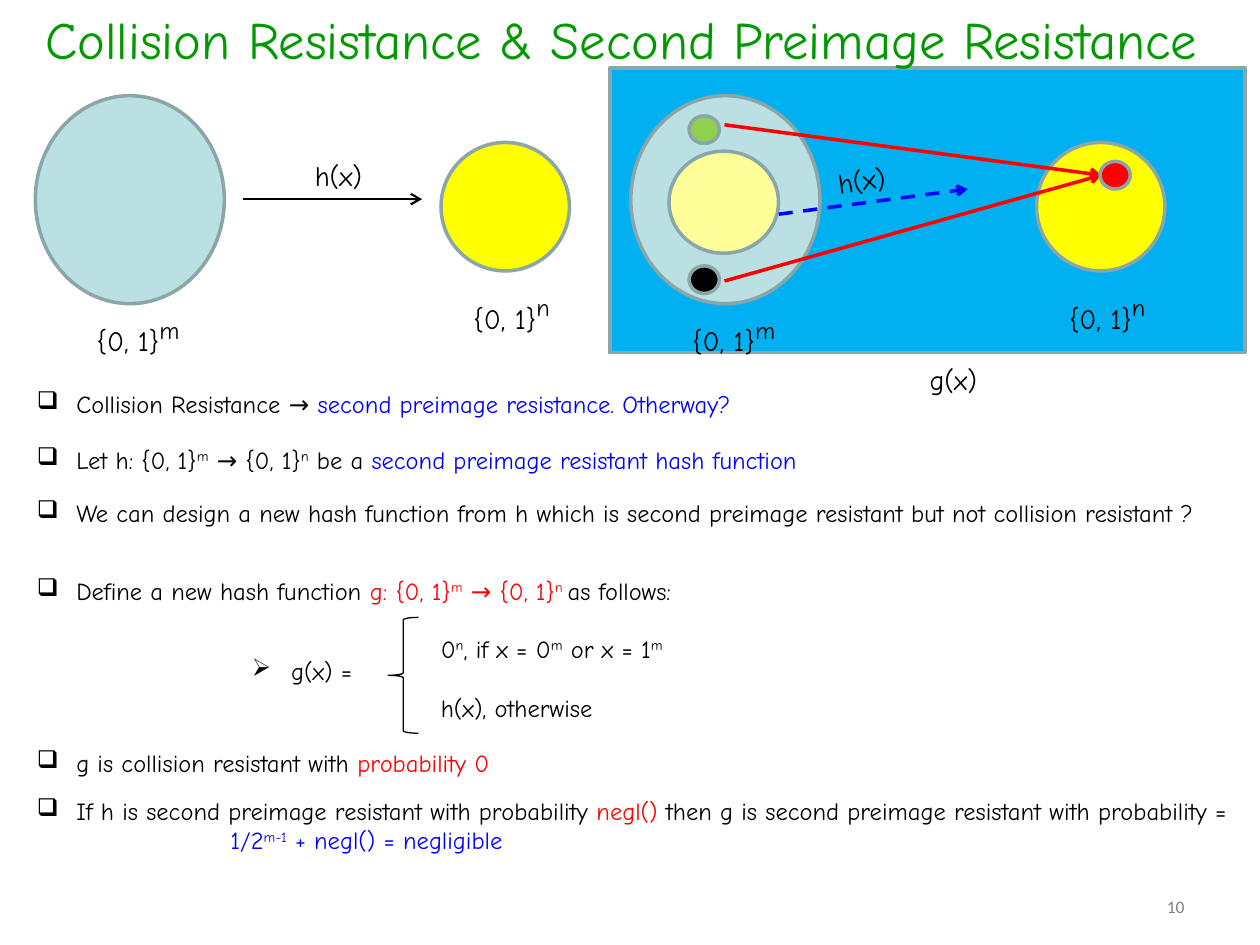
import pptx
import pptx.util
import pptx.dml.color
import pptx.enum.text
import pptx.enum.shapes
import pptx.enum.dml
import lxml.etree

Pt = pptx.util.Pt
KIND = pptx.enum.shapes.MSO_SHAPE
ALIGN = pptx.enum.text.PP_ALIGN
FIT = pptx.enum.text.MSO_AUTO_SIZE
NS = "{http://schemas.openxmlformats.org/drawingml/2006/main}"
BLACK, RED, BLUE, EDGE = "000000", "FF0000", "0000FF", "8AA6A8"
BOX, POINT = "\u2751", "\u27a2"

PANEL = (348.5, 38.9, 362.9, 162.7)
SHIFT = 340.3
SETS = [
    ((20.2, 54.7, 108, 118.8), "BBE0E3", (48.2, 173.5, 67.7, 26.6), "{0, 1}^m"),
    ((252, 81.4, 73.4, 73.4), "FFFF00", (263.5, 160.6, 113, 26.6), "{0, 1}^n"),
]
DOTS = [
    ((393.8, 151.9, 17.3, 15.8), BLACK),
    ((393.8, 66.2, 17.3, 15.8), "92D050"),
    ((628.6, 92.2, 17.3, 15.8), RED),
    ((382.3, 86.4, 62.6, 58.3), "FFFF99"),
]
LABELS = [
    ((172.8, 87.1, 67.7, 26.6), "h(x)", 0),
    ((471.6, 87.8, 67.7, 26.6), "h(x)", 351.9),
    ((524.2, 203.8, 67.7, 26.6), "g(x)", 0),
]
MAPS = [
    ((414, 71.3), (629.3, 100.1), RED, 2, False),
    ((414, 160.6), (629.3, 100.1), RED, 2, False),
]
PLAIN = ((139, 113.8), (241.2, 113.8), BLACK, 1.25, False)
DASH = ((445, 122.4), (553, 108), BLUE, 2, True)
ITEMS = [
    (218.9, 24.5, [("Collision Resistance \u2192 ", BLACK),
                   ("second preimage resistance. Otherway?", BLUE)]),
    (250.6, 24.5, [("Let h: {0, 1}^m^ \u2192 {0, 1}^n^ be a ", BLACK),
                   ("second preimage resistant hash function", BLUE)]),
    (280.8, 41, [("We can design a new hash function from h which is second "
                  "preimage resistant but not collision resistant ?", BLACK)]),
    (325.4, 24.5, [("Define a new hash function ", BLACK),
                   ("g: {0, 1}^m^ \u2192 {0, 1}^n ", RED),
                   ("as follows:", BLACK)]),
    (424.1, 24.5, [("g is collision resistant with ", BLACK),
                   ("probability 0", RED)]),
    (451.4, 41, [("If h is second preimage resistant with probability ", BLACK),
                 ("negl() ", RED),
                 ("then g is second preimage resistant with probability =", BLACK)]),
]
CASES = [
    ((136.8, 371.5, 90.7, 24.5), "g(x) =", BLACK, POINT),
    ((244.8, 358.6, 221, 24.5), "0^n^, if x = 0^m^ or x = 1^m", BLACK, None),
    ((244.8, 392.4, 221, 24.5), "h(x), otherwise", BLACK, None),
    ((124.6, 468, 260, 24.5), "1/2^m-1^ + negl() = negligible", BLUE, None),
]

deck = pptx.Presentation()
deck.slide_width, deck.slide_height = Pt(720), Pt(540)
slide = deck.slides.add_slide(deck.slide_layouts[6])


def tint(code):
    return pptx.dml.color.RGBColor.from_string(code)


def text(place, parts, size=14, high=None, font="Comic Neue", align=ALIGN.LEFT,
         mark=None, turn=0, grow=True):
    box = slide.shapes.add_textbox(*map(Pt, place))
    box.rotation = turn
    frame = box.text_frame
    frame.word_wrap = True
    frame.auto_size = FIT.SHAPE_TO_FIT_TEXT if grow else FIT.NONE
    para = frame.paragraphs[0]
    para.alignment = align
    if mark:
        props = para._p.get_or_add_pPr()
        props.set("marL", str(Pt(22.5)))
        props.set("indent", str(-Pt(22.5)))
        lxml.etree.SubElement(props, NS + "buChar").set("char", mark)
    for words, color in parts:
        for spot, piece in enumerate(words.split("^")):
            if not piece:
                continue
            run = para.add_run()
            run.text = piece
            run.font.name = font
            run.font.size = Pt(size)
            run.font.color.rgb = tint(color)
            if spot % 2:
                run.font.size = Pt(high or size)
                run._r.get_or_add_rPr().set("baseline", "30000")


def shape(kind, place, fill=None, edge=EDGE, width=2):
    item = slide.shapes.add_shape(kind, *map(Pt, place))
    item.shadow.inherit = False
    if fill:
        item.fill.solid()
        item.fill.fore_color.rgb = tint(fill)
    else:
        item.fill.background()
    item.line.color.rgb = tint(edge)
    item.line.width = Pt(width)


def arrow(start, end, color, width, dash):
    link = slide.shapes.add_connector(
        pptx.enum.shapes.MSO_CONNECTOR.STRAIGHT, *map(Pt, start + end))
    link.line.color.rgb = tint(color)
    link.line.width = Pt(width)
    if dash:
        link.line.dash_style = pptx.enum.dml.MSO_LINE.DASH
    tail = lxml.etree.SubElement(link.line._get_or_add_ln(), NS + "tailEnd")
    tail.set("type", "arrow")
    lxml.etree.SubElement(link._element.spPr, NS + "effectLst")


def move(place, step):
    return (place[0] + step,) + place[1:]


shape(KIND.RECTANGLE, PANEL, "00B0F0")
for step in (0, SHIFT):
    for place, fill, spot, name in SETS:
        shape(KIND.OVAL, move(place, step), fill)
        text(move(spot, step), [(name, BLACK)], size=16, high=24)
for place, name, turn in LABELS:
    text(place, [(name, BLACK)], size=16, turn=turn)
arrow(*PLAIN)
for link in MAPS:
    arrow(*link)
for place, fill in DOTS:
    shape(KIND.OVAL, place, fill)
arrow(*DASH)

for top, height, parts in ITEMS:
    text((14, top, 697.7, height), parts, mark=BOX)
for place, words, color, mark in CASES:
    text(place, [(words, color)], mark=mark)
shape(KIND.LEFT_BRACE, (221.8, 352.8, 17.3, 66.2), edge=BLACK, width=0.75)

text((0, 0.7, 720, 36.7),
     [("Collision Resistance & Second Preimage Resistance ", "009900")],
     size=30, align=ALIGN.CENTER, grow=False)
text((516.2, 508.3, 167.8, 20.9), [("10", "808080")], size=10,
     font="Calibri", align=ALIGN.RIGHT, grow=False)

deck.save("out.pptx")
